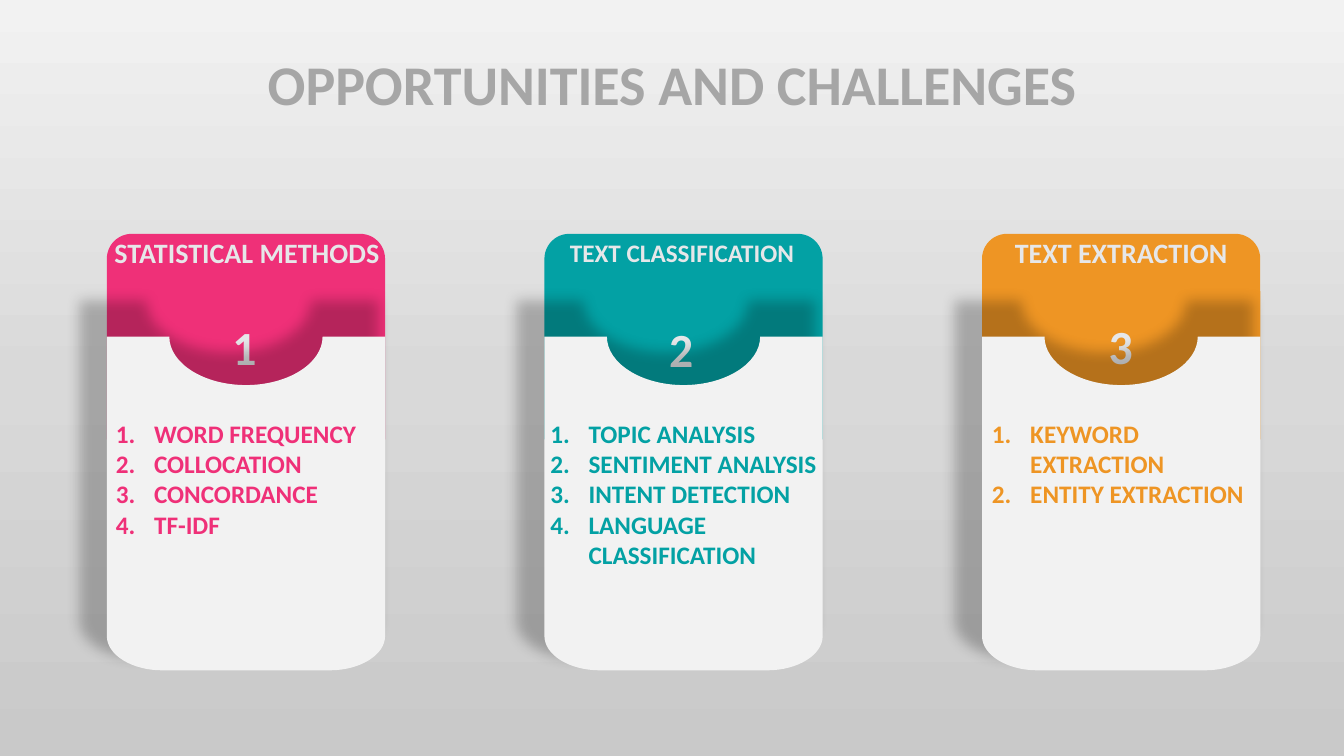
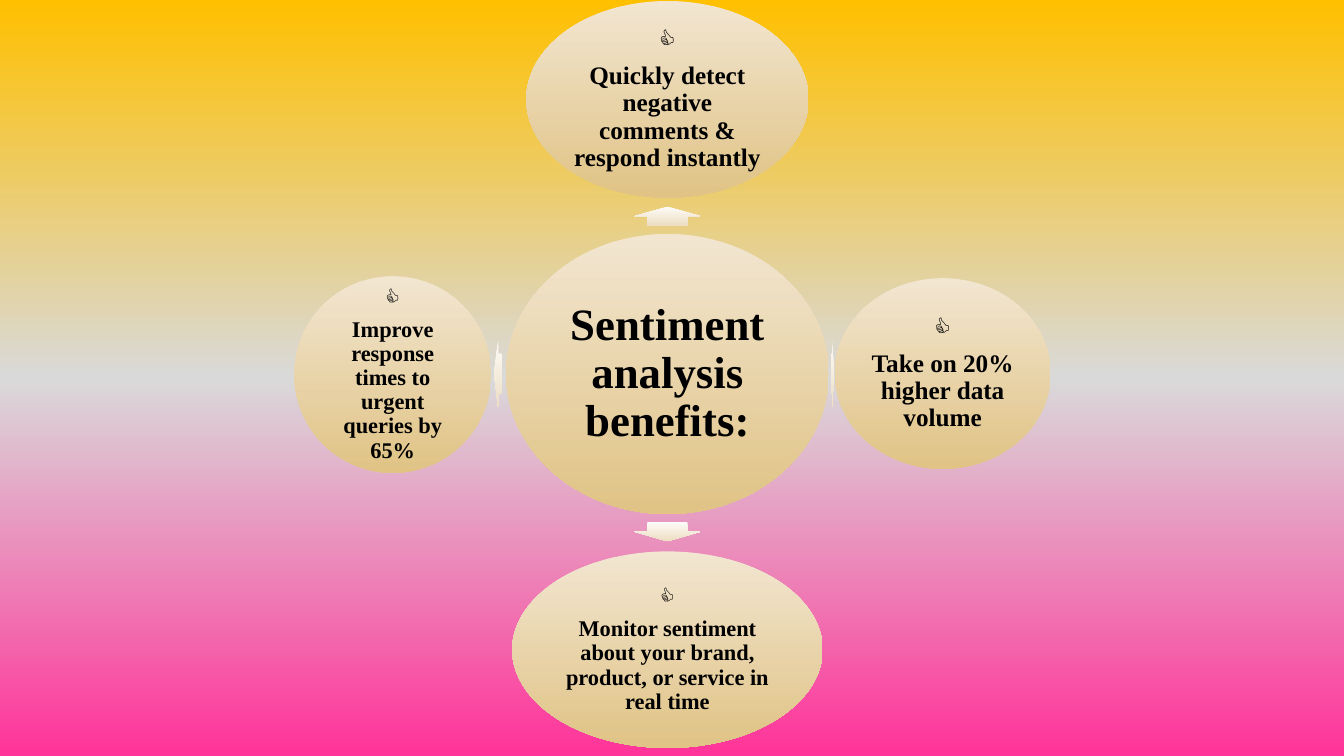
from dataclasses import dataclass

from lxml.etree import SubElement
from pptx import Presentation
from pptx.dml.color import RGBColor
from pptx.enum.shapes import MSO_SHAPE
from pptx.enum.text import MSO_ANCHOR, PP_ALIGN
from pptx.oxml.ns import qn
from pptx.util import Inches, Pt


@dataclass(frozen=True)
class Theme:
    heading_font: str = "Calibri"
    body_font: str = "Times New Roman"
    gray_background: tuple = ("F2F2F2", "D9D9D9", "C9C9C9")
    bright_background: tuple = ("FFC000", "D9D9D9", "FF3399")
    bubble: tuple = ("F2E6D1", "E0C385")
    arrow: tuple = ("FDFBF8", "EDDDC2")
    title: str = "A6A6A6"
    light_text: str = "E6E7E9"
    dark_text: str = "000000"
    panel: str = "F2F2F2"
    shadow: str = "000000"
    pink: str = "EF3078"
    teal: str = "03A1A4"
    orange: str = "EE9524"
    title_size: int = 40
    number_size: int = 34
    hub_size: int = 32
    large_size: int = 20
    medium_size: int = 18
    small_size: int = 16


THEME = Theme()


class Deck:
    def __init__(self, theme):
        self.theme = theme
        self.presentation = Presentation()
        self.presentation.slide_width = Inches(13.33)
        self.presentation.slide_height = Inches(7.5)
        self.slide = None

    def add_slide(self, background):
        self.slide = self.presentation.slides.add_slide(self.presentation.slide_layouts[6])
        self.paint_gradient(self.slide.background.fill, self.slide.element, background)

    def paint_gradient(self, fill, element, colors):
        fill.gradient()
        fill.gradient_angle = 270
        stops = next(element.iter(qn("a:gsLst")))
        for stop in list(stops):
            stops.remove(stop)
        for index, color in enumerate(colors):
            position = 100000 * index // (len(colors) - 1)
            stop = SubElement(stops, qn("a:gs"), pos=str(position))
            SubElement(stop, qn("a:srgbClr"), val=color)

    def paint(self, shape, color):
        shape.shadow.inherit = False
        shape.line.fill.background()
        if isinstance(color, tuple):
            self.paint_gradient(shape.fill, shape._element, color)
        else:
            shape.fill.solid()
            shape.fill.fore_color.rgb = RGBColor.from_string(color)

    def shape(self, kind, left, top, width, height, color, adjustments=()):
        shape = self.slide.shapes.add_shape(
            kind, Inches(left), Inches(top), Inches(width), Inches(height))
        self.paint(shape, color)
        for index, value in enumerate(adjustments):
            shape.adjustments[index] = value
        return shape

    def style(self, paragraph, font_name, size, color, bold=True):
        font = paragraph.font
        font.name, font.size, font.bold = font_name, Pt(size), bold
        font.color.rgb = RGBColor.from_string(color)

    def text(self, lines, left, top, width, height, size, color, numbered=False):
        box = self.slide.shapes.add_textbox(
            Inches(left), Inches(top), Inches(width), Inches(height))
        frame = box.text_frame
        frame.word_wrap = True
        frame.text = "\n".join(lines)
        for paragraph in frame.paragraphs:
            if numbered:
                properties = paragraph._p.get_or_add_pPr()
                properties.set("marL", str(Inches(0.38)))
                properties.set("indent", str(-Inches(0.38)))
                SubElement(properties, qn("a:buFont"), typeface="+mj-lt")
                SubElement(properties, qn("a:buAutoNum"), type="arabicPeriod")
            else:
                paragraph.alignment = PP_ALIGN.CENTER
            self.style(paragraph, self.theme.heading_font, size, color)

    def cast_shadow(self, shape):
        effects = shape._element.spPr.find(qn("a:effectLst"))
        shadow = SubElement(effects, qn("a:outerShdw"), blurRad=str(Pt(10)),
                            dist=str(Inches(0.15)), dir=str(238 * 60000),
                            sx="107000", sy="107000", algn="br", rotWithShape="0")
        color = SubElement(shadow, qn("a:srgbClr"), val=self.theme.shadow)
        SubElement(color, qn("a:alpha"), val="23000")

    def curve(self, shape, first_segments):
        segments = list(shape._element.iter(qn("a:lnTo")))
        for first in first_segments:
            curve = segments[first].makeelement(qn("a:cubicBezTo"))
            segments[first].addprevious(curve)
            for segment in segments[first:first + 3]:
                curve.append(segment[0])
                segment.getparent().remove(segment)

    def notched_panel(self, left, top, width, height):
        right, bottom, center = left + width, top + height, left + width / 2
        notch_x, notch_y = 0.76, 0.48
        corner_x, corner_y = 0.55, 0.34
        pull = 0.55
        points = [
            (center - notch_x, top),
            (center - notch_x, top + notch_y * pull),
            (center - notch_x * pull, top + notch_y),
            (center, top + notch_y),
            (center + notch_x * pull, top + notch_y),
            (center + notch_x, top + notch_y * pull),
            (center + notch_x, top),
            (right, top),
            (right, bottom - corner_y),
            (right, bottom - corner_y * (1 - pull)),
            (right - corner_x * (1 - pull), bottom),
            (right - corner_x, bottom),
            (left + corner_x, bottom),
            (left + corner_x * (1 - pull), bottom),
            (left, bottom - corner_y * (1 - pull)),
            (left, bottom - corner_y),
        ]
        builder = self.slide.shapes.build_freeform(Inches(left), Inches(top))
        builder.add_line_segments([(Inches(x), Inches(y)) for x, y in points])
        panel = builder.convert_to_shape()
        self.curve(panel, (1, 4, 9, 13))
        self.paint(panel, self.theme.panel)
        self.cast_shadow(panel)

    def card(self, number, left, heading, heading_size, color, items,
             heading_place, number_place, list_place):
        width = 2.76
        self.shape(MSO_SHAPE.ROUND_2_SAME_RECTANGLE, left, 2.32, width, 2.04, color, (0.121, 0))
        self.text([heading], *heading_place, heading_size, self.theme.light_text)
        self.text([str(number)], *number_place, 1.55, 0.67, self.theme.number_size,
                  self.theme.light_text)
        self.notched_panel(left, 3.34, width, 3.31)
        self.text(items, *list_place, self.theme.medium_size, color, numbered=True)

    def bubble(self, lines, left, top, width, height, size, inset, bold_first=True):
        shape = self.shape(MSO_SHAPE.OVAL, left, top, width, height, self.theme.bubble)
        frame = shape.text_frame
        frame.word_wrap = True
        frame.vertical_anchor = MSO_ANCHOR.MIDDLE
        frame.margin_left = frame.margin_right = Inches(inset)
        frame.margin_top = frame.margin_bottom = Inches(inset)
        frame.text = "\n".join(lines)
        for index, paragraph in enumerate(frame.paragraphs):
            paragraph.alignment = PP_ALIGN.CENTER
            paragraph.line_spacing = 0.9
            paragraph.space_after = Pt(round(size * 0.35, 1))
            self.style(paragraph, self.theme.body_font, size, self.theme.dark_text,
                       bold_first or index > 0)

    def arrow(self, kind, left, top, width, height):
        self.shape(kind, left, top, width, height, self.theme.arrow, (0.6, 0.5))


def build_opportunities(deck):
    theme = deck.theme
    deck.add_slide(theme.gray_background)
    deck.text(["OPPORTUNITIES AND CHALLENGES"], 2.08, 0.44, 9.17, 0.77,
              theme.title_size, theme.title)
    cards = [
        ("STATISTICAL METHODS", theme.large_size, theme.pink,
         ["WORD FREQUENCY", "COLLOCATION", "CONCORDANCE", "TF-IDF"],
         (0.88, 2.29, 3.14, 0.77), (1.65, 3.11), (1.05, 4.1, 2.76, 1.31)),
        ("TEXT CLASSIFICATION", theme.medium_size, theme.teal,
         ["TOPIC ANALYSIS", "SENTIMENT ANALYSIS", "INTENT DETECTION",
          "LANGUAGE CLASSIFICATION"],
         (5, 2.3, 3.53, 0.71), (5.98, 3.13), (5.36, 4.1, 3.14, 1.62)),
        ("TEXT EXTRACTION", theme.large_size, theme.orange,
         ["KEYWORD EXTRACTION", "ENTITY EXTRACTION"],
         (9.55, 2.29, 3.14, 0.44), (10.34, 3.1), (9.74, 4.1, 2.76, 1.31)),
    ]
    for index, card in enumerate(cards):
        deck.card(index + 1, 1.06 + 4.34 * index, *card)


def build_benefits(deck):
    theme = deck.theme
    deck.add_slide(theme.bright_background)
    deck.bubble(["Sentiment analysis benefits:"], 5.02, 2.32, 3.2, 2.78, theme.hub_size, 0.04)
    benefits = [
        ("Quickly detect negative comments & respond instantly",
         (5.22, 0.01, 2.8, 1.95), theme.medium_size, 0.03, False),
        ("Take on 20% higher data volume",
         (8.28, 2.76, 2.14, 1.89), theme.medium_size, 0.03, True),
        ("Monitor sentiment about your brand, product, or service in real time",
         (5.08, 5.47, 3.08, 1.95), theme.small_size, 0.02, True),
        ("Improve response times to urgent queries by 65%",
         (2.92, 2.74, 1.95, 1.95), theme.small_size, 0.02, True),
    ]
    for benefit, place, size, inset, bold_first in benefits:
        deck.bubble(["👍", benefit], *place, size, inset, bold_first)
    deck.arrow(MSO_SHAPE.UP_ARROW, 6.29, 2.05, 0.66, 0.19)
    deck.arrow(MSO_SHAPE.RIGHT_ARROW, 8.24, 3.38, 0.03, 0.66)
    deck.arrow(MSO_SHAPE.DOWN_ARROW, 6.29, 5.18, 0.66, 0.19)
    deck.arrow(MSO_SHAPE.LEFT_ARROW, 4.9, 3.38, 0.08, 0.66)


def main():
    deck = Deck(THEME)
    build_opportunities(deck)
    build_benefits(deck)
    deck.presentation.save("out.pptx")


if __name__ == "__main__":
    main()
